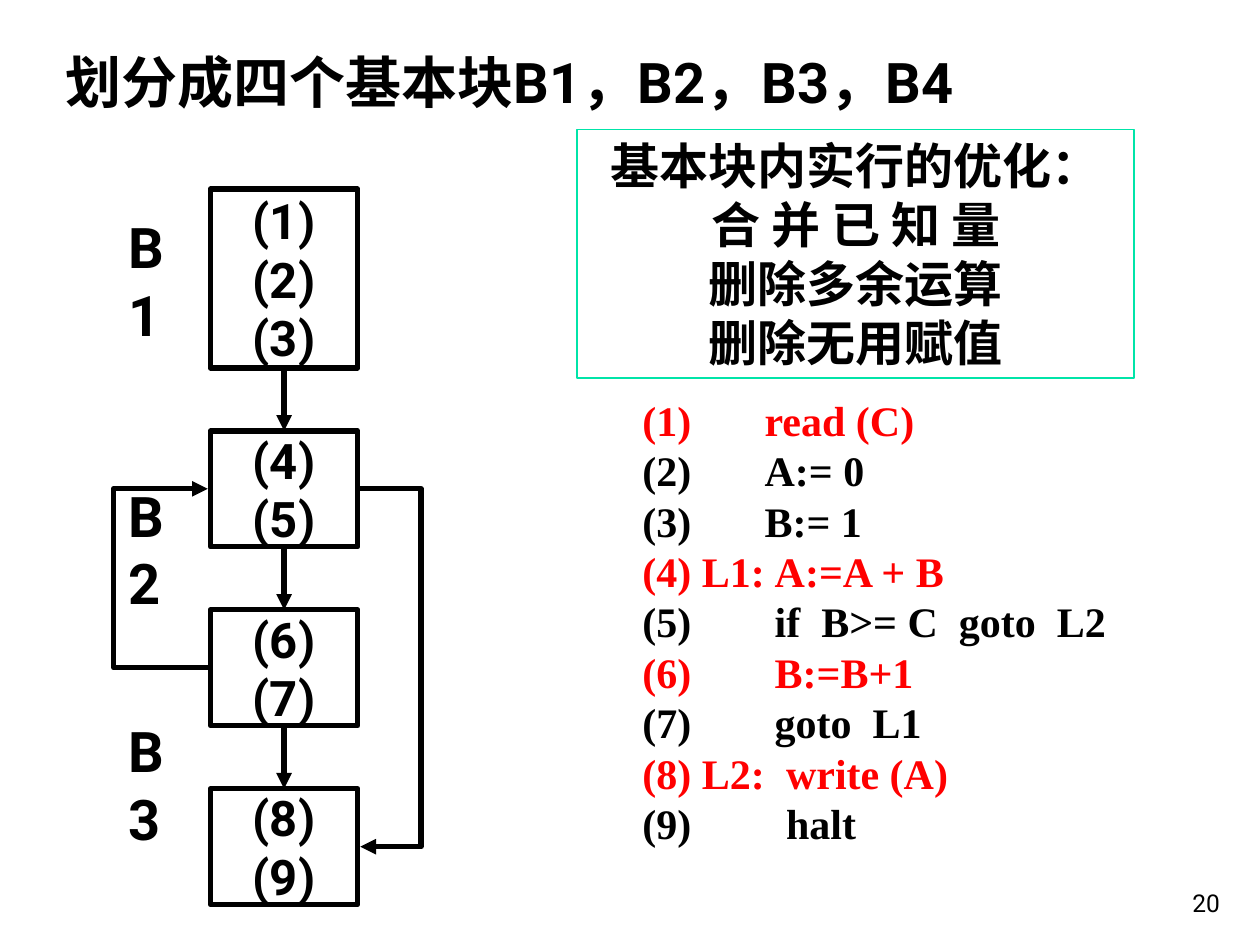
"""Build a slide on dividing a program into four basic blocks."""
from dataclasses import dataclass

from lxml import etree
from pptx import Presentation
from pptx import util as u
from pptx.dml.color import RGBColor
from pptx.enum import shapes, text
from pptx.oxml import ns

TITLE = "划分成四个基本块B1，B2，B3，B4"
BLOCKS = [["(1)", "(2)", "(3)"], ["(4)", "(5)"], ["(6)", "(7)"], ["(8)", "(9)"]]
LABELS = [("B1", 1.64), ("B2", 3.77), ("B3", 5.64)]
OPTIMIZATIONS = ["基本块内实行的优化：", "合 并 已 知 量", "删除多余运算", "删除无用赋值"]
CODE = [
    ("(1)", "read (C)", 0.97, True),
    ("(2)", "A:= 0", 0.97, False),
    ("(3)", "B:= 1", 0.97, False),
    ("(4) L1:", "A:=A + B", 1.05, True),
    ("(5)", "if  B>= C  goto  L2", 1.05, False),
    ("(6)", "B:=B+1", 1.05, True),
    ("(7)", "goto  L1", 1.05, False),
    ("(8) L2:", "write (A)", 1.14, True),
    ("(9)", "halt", 1.14, False),
]
PAGE_NUMBER = "20"
BLOCK_LEFT, BLOCK_TOP, BLOCK_WIDTH, BLOCK_GAP = 1.67, 1.5, 1.17, 0.5


@dataclass(frozen=True)
class Theme:
    ink: RGBColor = RGBColor(0, 0, 0)
    accent: RGBColor = RGBColor(0xFF, 0, 0)
    frame: RGBColor = RGBColor(0, 0xE4, 0xA8)
    sans: str = "Roboto"
    cjk: str = "Noto Sans CJK JP"
    serif: str = "Times New Roman"
    heading: int = 32
    body: int = 28
    code: int = 24
    small: int = 14
    stroke: float = 3
    thin: float = 0.75
    leading: float = 1.2


THEME = Theme()


def write(shape, lines, size, font=THEME.sans, align=None, bold=True):
    frame = shape.text_frame
    frame.text = "\n".join(lines)
    for paragraph in frame.paragraphs:
        paragraph.alignment = align
        paragraph.line_spacing = u.Pt(size * THEME.leading)
        paragraph.font.name = font
        paragraph.font.size = u.Pt(size)
        paragraph.font.bold = bold
        paragraph.font.color.rgb = THEME.ink
    return frame


def add_text(slide, box, lines, size, **style):
    shape = slide.shapes.add_textbox(*map(u.Inches, box))
    frame = write(shape, lines, size, **style)
    frame.word_wrap = True
    return frame


def add_box(slide, box, lines, color, width, wrap, anchor):
    shape = slide.shapes.add_shape(shapes.MSO_SHAPE.RECTANGLE, *map(u.Inches, box))
    shape.shadow.inherit = False
    shape.fill.background()
    shape.line.color.rgb = color
    shape.line.width = u.Pt(width)
    frame = write(shape, lines, THEME.body, align=text.PP_ALIGN.CENTER)
    frame.word_wrap = wrap
    frame.vertical_anchor = anchor
    return shape


def add_arrow(slide, kind, start, end):
    arrow = slide.shapes.add_connector(kind, *map(u.Inches, (*start, *end)))
    arrow.line.color.rgb = THEME.ink
    arrow.line.width = u.Pt(THEME.stroke)
    etree.SubElement(arrow.line._get_or_add_ln(), ns.qn("a:tailEnd"), type="triangle")
    etree.SubElement(arrow._element.spPr, ns.qn("a:effectLst"))
    return arrow


def add_detour(slide, x, start_y, end_y, reach):
    step = 0.01 if reach > 0 else -0.01
    arrow = add_arrow(slide, shapes.MSO_CONNECTOR.ELBOW, (x, start_y), (x + step, end_y))
    geometry = arrow._element.spPr.find(ns.qn("a:prstGeom"))
    guides = geometry.find(ns.qn("a:avLst"))
    ratio = round(reach / step * 100000)
    etree.SubElement(guides, ns.qn("a:gd"), name="adj1", fmla=f"val {ratio}")


def add_flow(slide):
    blocks, middles = [], []
    top = BLOCK_TOP
    for lines in BLOCKS:
        height = len(lines) * 0.5 - 0.08
        box = (BLOCK_LEFT, top, BLOCK_WIDTH, height)
        blocks.append(add_box(slide, box, lines, THEME.ink, THEME.stroke, False,
                              text.MSO_ANCHOR.MIDDLE))
        middles.append(top + height / 2)
        top += height + BLOCK_GAP
    for upper, lower in zip(blocks, blocks[1:]):
        arrow = add_arrow(slide, shapes.MSO_CONNECTOR.STRAIGHT, (0, 0), (1, 1))
        arrow.begin_connect(upper, 2)
        arrow.end_connect(lower, 0)
    add_detour(slide, BLOCK_LEFT - 0.01, middles[2], middles[1], -0.77)
    add_detour(slide, BLOCK_LEFT + BLOCK_WIDTH + 0.01, middles[1], middles[3], 0.5)
    for label, label_top in LABELS:
        add_text(slide, (0.92, label_top, 0.72, 1.16), [label], THEME.heading)


def add_code(slide):
    lines = [f"{number}\t{statement}" for number, statement, _, _ in CODE]
    frame = add_text(slide, (5, 3.08, 4.58, 3.82), lines, THEME.code, font=THEME.serif)
    for paragraph, (_, _, stop, highlighted) in zip(frame.paragraphs, CODE):
        if highlighted:
            paragraph.font.color.rgb = THEME.accent
        properties = paragraph._p.get_or_add_pPr()
        tabs = etree.Element(ns.qn("a:tabLst"))
        etree.SubElement(tabs, ns.qn("a:tab"), pos=str(u.Inches(stop)), algn="l")
        properties.find(ns.qn("a:defRPr")).addprevious(tabs)


def main():
    presentation = Presentation()
    presentation.slide_width, presentation.slide_height = u.Inches(10), u.Inches(7.5)
    slide = presentation.slides.add_slide(presentation.slide_layouts[6])
    add_text(slide, (0.42, 0.33, 9.58, 0.63), [TITLE], THEME.heading)
    add_flow(slide)
    panel = add_box(slide, (4.58, 1.03, 4.42, 1.97), OPTIMIZATIONS, THEME.frame,
                    THEME.thin, True, text.MSO_ANCHOR.TOP)
    panel.text_frame.paragraphs[0].font.name = THEME.cjk
    add_code(slide)
    number = add_text(slide, (7.7, 6.83, 2.08, 0.5), [PAGE_NUMBER], THEME.small,
                      align=text.PP_ALIGN.RIGHT, bold=False)
    number.vertical_anchor = text.MSO_ANCHOR.BOTTOM
    presentation.save("out.pptx")


if __name__ == "__main__":
    main()
